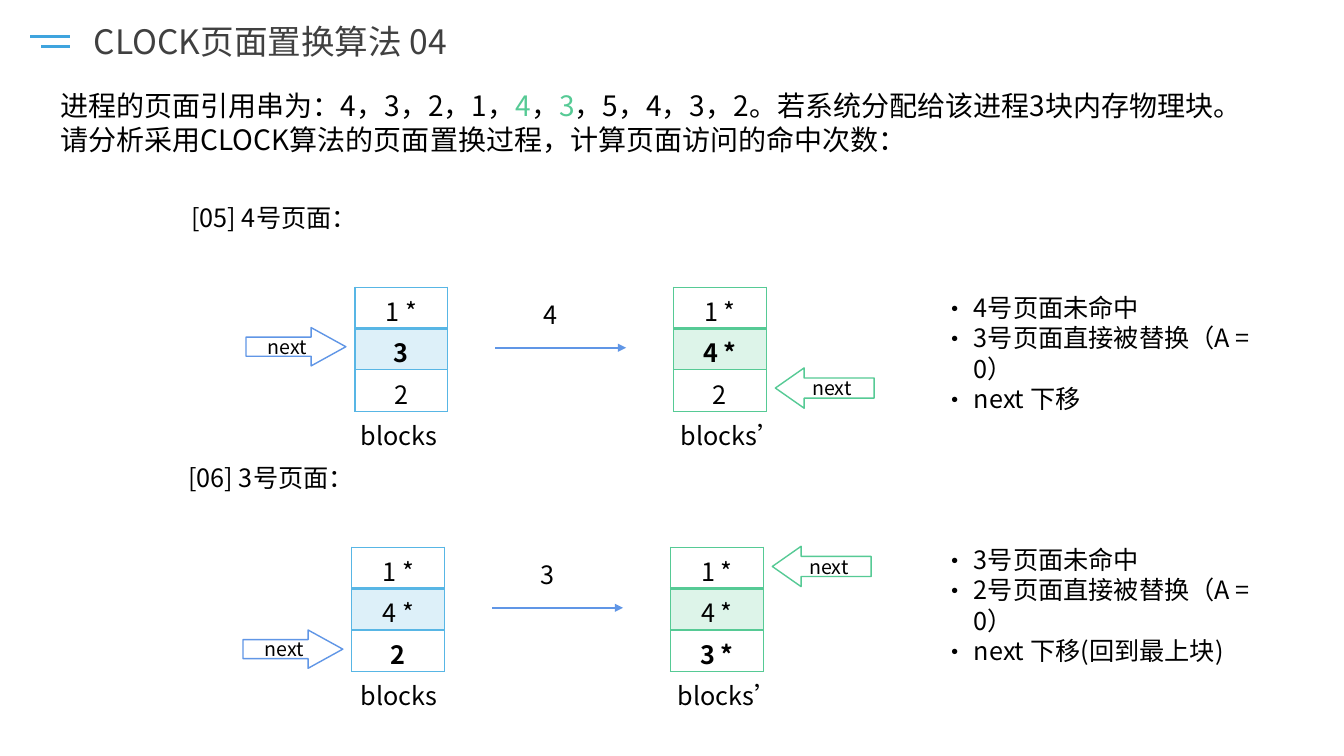
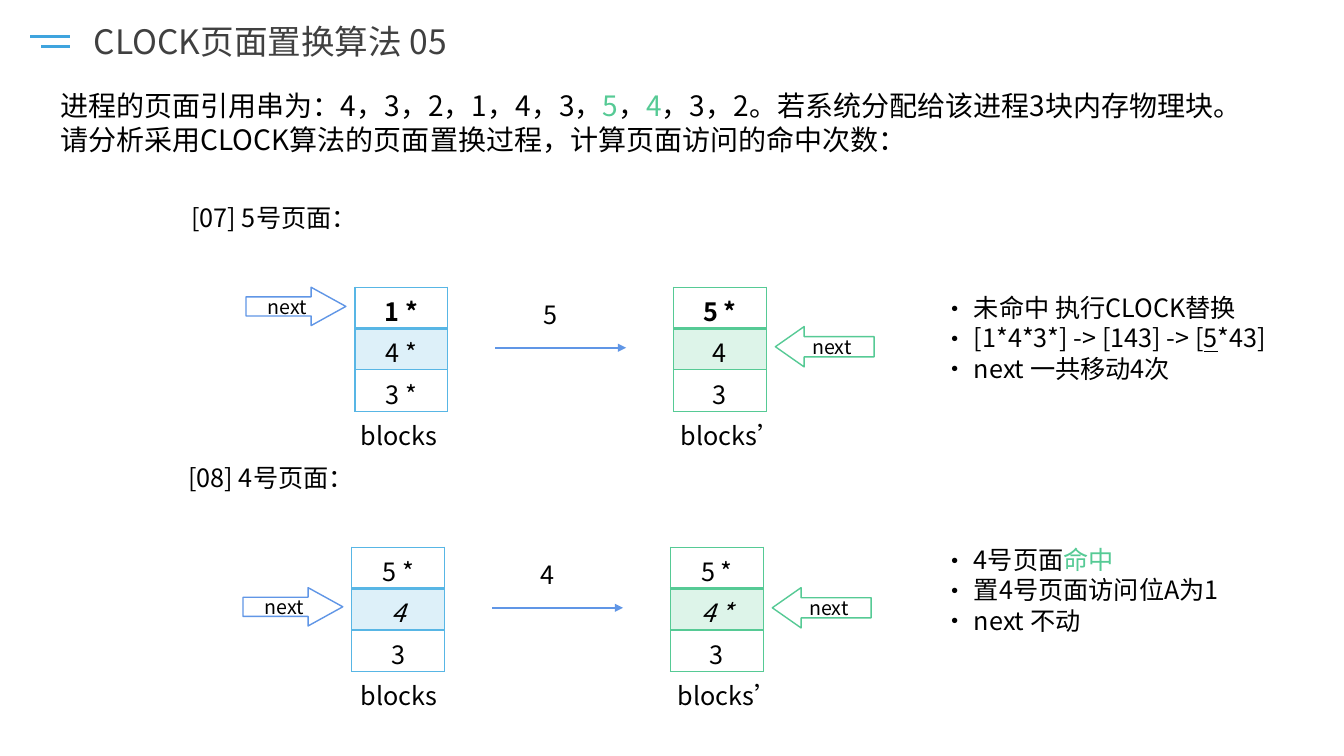
from lxml import etree
from pptx import Presentation
from pptx.dml.color import RGBColor
from pptx.enum import shapes, text
from pptx.oxml.ns import qn
from pptx.util import Inches, Pt

FONT = "Noto Sans CJK SC"
COLORS = {
    "title": "404040",
    "text": "000000",
    "paper": "FFFFFF",
    "bars": "3FA4DE",
    "arrow": "6096E6",
    "before": "58B6E5",
    "after": "56CA95",
}
ROW_H = 0.41
PAGES = [4, 3, 2, 1, 4, 3, 5, 4, 3, 2]


def rgb(name):
    return RGBColor.from_string(COLORS[name])


def box(x, y, w, h):
    return [Inches(round(v, 2)) for v in (x, y, w, h)]


def sub(parent, tag, **attrs):
    return etree.SubElement(parent, qn(tag), attrs)


class Deck:
    def __init__(self):
        self.prs = Presentation()
        self.prs.slide_width, self.prs.slide_height = Inches(13.33), Inches(7.5)
        self.s = None

    def new_slide(self, title):
        self.s = self.prs.slides.add_slide(self.prs.slide_layouts[3])
        bars = self.s.shapes.add_group_shape()
        for x, y in ((0.41, 0.46), (0.3, 0.36)):
            self.line(x, 0.69, y, "bars", 2.25, bars.shapes)
        self.fill_text(self.place(0, 0.83, 0.16, 6, 0.5), [title], 24, "title")

    def place(self, idx, *at):
        """Move a layout placeholder and give it plain text-box behaviour."""
        sp = self.s.placeholders[idx]
        sp.left, sp.top, sp.width, sp.height = box(*at)
        tf = sp.text_frame
        tf.auto_size = text.MSO_AUTO_SIZE.NONE
        tf.vertical_anchor = text.MSO_ANCHOR.TOP
        return tf

    def fill_text(self, tf, lines, size=18, color="text",
                  align=text.PP_ALIGN.LEFT, bullet=False):
        """Write lines; each is a string or a list of (text, style) runs."""
        tf.word_wrap = True
        for i, line in enumerate(lines):
            p = tf.paragraphs[0] if i == 0 else tf.add_paragraph()
            p.alignment = align
            p.space_before = Pt(0)
            pPr = p._p.get_or_add_pPr()
            if bullet:
                hang = Inches(0.31)
                pPr.set("marL", str(hang))
                pPr.set("indent", str(-hang))
                sub(pPr, "a:buFont", typeface=FONT)
                sub(pPr, "a:buChar", char="·")
            p.font.size = Pt(size)
            p.font.name = FONT
            p.font.color.rgb = rgb(color)
            sub(pPr.find(qn("a:defRPr")), "a:ea", typeface=FONT)
            for words, style in [(line, "")] if isinstance(line, str) else line:
                r = p.add_run()
                r.text = words
                if style == "hit":
                    r.font.color.rgb = rgb("after")
                elif style:
                    setattr(r.font, style, True)

    def textbox(self, at, lines, **style):
        sp = self.s.shapes.add_textbox(*box(*at))
        self.fill_text(sp.text_frame, lines, **style)

    def bullets(self, idx, at, lines):
        self.fill_text(self.place(idx, *at), lines, bullet=True)

    def line(self, x1, x2, y, color, width, target=None, arrow=False):
        """Horizontal line from x1 to x2."""
        target = self.s.shapes if target is None else target
        c = target.add_connector(shapes.MSO_CONNECTOR.STRAIGHT, Inches(x1),
                                 Inches(y), Inches(x2), Inches(y))
        c.line.color.rgb = rgb(color)
        c.line.width = Pt(width)
        if arrow:
            sub(c.line._get_or_add_ln(), "a:tailEnd", type="triangle")
        sub(c._element.spPr, "a:effectLst")

    def next_arrow(self, kind, at, head, color):
        sp = self.s.shapes.add_shape(kind, *box(*at))
        sp.shadow.inherit = False
        sp.adjustments[0], sp.adjustments[1] = 0.5, head
        sp.fill.solid()
        sp.fill.fore_color.rgb = rgb("paper")
        sp.line.color.rgb = rgb(color)
        sp.line.width = Pt(1)
        sp.text_frame.vertical_anchor = text.MSO_ANCHOR.MIDDLE
        self.fill_text(sp.text_frame, ["next"], 14, align=text.PP_ALIGN.CENTER)

    def blocks(self, x, y, values, changed, style, color):
        """Three memory blocks, the changed one set in the given style."""
        frame = self.s.shapes.add_table(3, 1, *box(x, y, 0.92, 3 * ROW_H))
        table = frame.table
        table.first_row = table.horz_banding = False
        for i, value in enumerate(values):
            table.rows[i].height = Inches(ROW_H)
            cell = table.cell(i, 0)
            run = (value, style if i == changed else "")
            self.fill_text(cell.text_frame, [[run]], align=text.PP_ALIGN.CENTER)
            self.borders(cell, color, top=2 if i == 1 else 1,
                         bottom=2 if i == 0 else 1)
            if i == 1:
                cell.fill.solid()
                cell.fill.fore_color.rgb = rgb(color)
                tint = cell._tc.tcPr.find(qn("a:solidFill"))[0]
                sub(tint, "a:alpha", val="20000")
            else:
                cell.fill.background()

    def borders(self, cell, color, top, bottom):
        tcPr = cell._tc.get_or_add_tcPr()
        for side, width in zip("LRTB", (1, 1, top, bottom)):
            ln = sub(tcPr, "a:ln" + side, w=str(Pt(width)))
            sub(sub(ln, "a:solidFill"), "a:srgbClr", val=COLORS[color])

    def problem(self, hits):
        """Exercise statement with the pages handled on this slide coloured."""
        runs = [("进程的页面引用串为：", "")]
        for i, page in enumerate(PAGES):
            if i:
                runs.append(("，", ""))
            runs.append((str(page), "hit" if i in hits else ""))
        runs.append(("。若系统分配给该进程3块内存物理块。", ""))
        question = "请分析采用CLOCK算法的页面置换过程，计算页面访问的命中次数："
        self.textbox((0.5, 0.83, 12.43, 0.77), [runs, question], size=20)

    def step(self, pos, number, before, after, changed, style, nexts, notes):
        """One page access: blocks before and after, pointers and notes."""
        dx, dy = -0.03 * pos, 2.58 * pos
        page = str(PAGES[number - 1])
        top = 2.85 + dy
        center = text.PP_ALIGN.CENTER
        self.textbox((1.8 + dx, 1.96 + dy, 6.66, 0.4),
                     [f"[{number:02d}] {page}号页面："])
        self.blocks(3.52 + dx, top, before, changed, style, "before")
        self.line(4.91 + dx, 6.21 + dx, 3.45 + dy, "arrow", 1.5, arrow=True)
        self.textbox((5.29 + dx, 2.92 + dy, 0.92, 0.4), [page])
        self.blocks(6.68 + dx, top, after, changed, style, "after")
        y_before, y_after = [top + ROW_H * (row + 0.5) - 0.02 for row in nexts]
        self.next_arrow(shapes.MSO_SHAPE.RIGHT_ARROW,
                        (2.44 + dx, y_before - 0.19, 0.99, 0.38), 0.906, "arrow")
        self.next_arrow(shapes.MSO_SHAPE.LEFT_ARROW,
                        (7.69 + dx, y_after - 0.2, 0.98, 0.4), 0.714, "after")
        self.textbox((3.35, 4.12 + dy, 1.21, 0.4), ["blocks"], align=center)
        self.textbox((6.65 + dx, 4.12 + dy, 1.21, 0.4), ["blocks’"], align=center)
        self.bullets(pos + 1, (9.25, 2.85 + 2.5 * pos, 3.55, 1.3), notes)


SLIDES = [
    ("CLOCK页面置换算法 04", [
        (5, ["1 *", "3", "2"], ["1 *", "4 *", "2"], 1, "bold", (1, 2),
         ["4号页面未命中", "3号页面直接被替换（A = 0）", "next 下移"]),
        (6, ["1 *", "4 *", "2"], ["1 *", "4 *", "3 *"], 2, "bold", (2, 0),
         ["3号页面未命中", "2号页面直接被替换（A = 0）",
          "next 下移(回到最上块)"]),
    ]),
    ("CLOCK页面置换算法 05", [
        (7, ["1 *", "4 *", "3 *"], ["5 *", "4", "3"], 0, "bold", (0, 1),
         ["未命中 执行CLOCK替换",
          [("[1*4*3*] -> [143] -> [", ""), ("5", "underline"), ("*43]", "")],
          "next 一共移动4次"]),
        (8, ["5 *", "4", "3"], ["5 *", "4 *", "3"], 1, "italic", (1, 1),
         [[("4号页面", ""), ("命中", "hit")], "置4号页面访问位A为1",
          "next 不动"]),
    ]),
]


def main():
    deck = Deck()
    for title, steps in SLIDES:
        deck.new_slide(title)
        deck.problem([step[0] - 1 for step in steps])
        for pos, step in enumerate(steps):
            deck.step(pos, *step)
    deck.prs.save("out.pptx")


if __name__ == "__main__":
    main()
